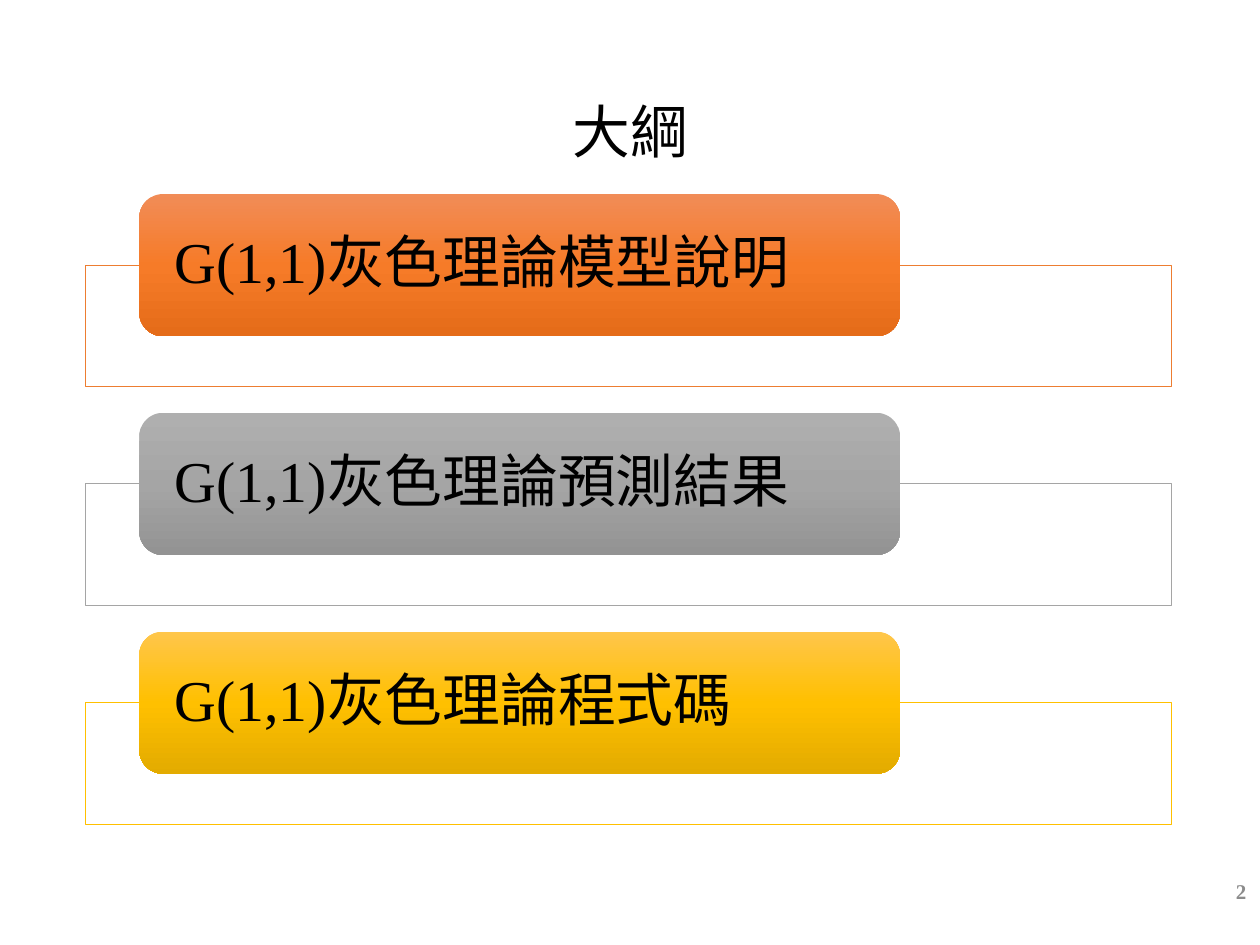
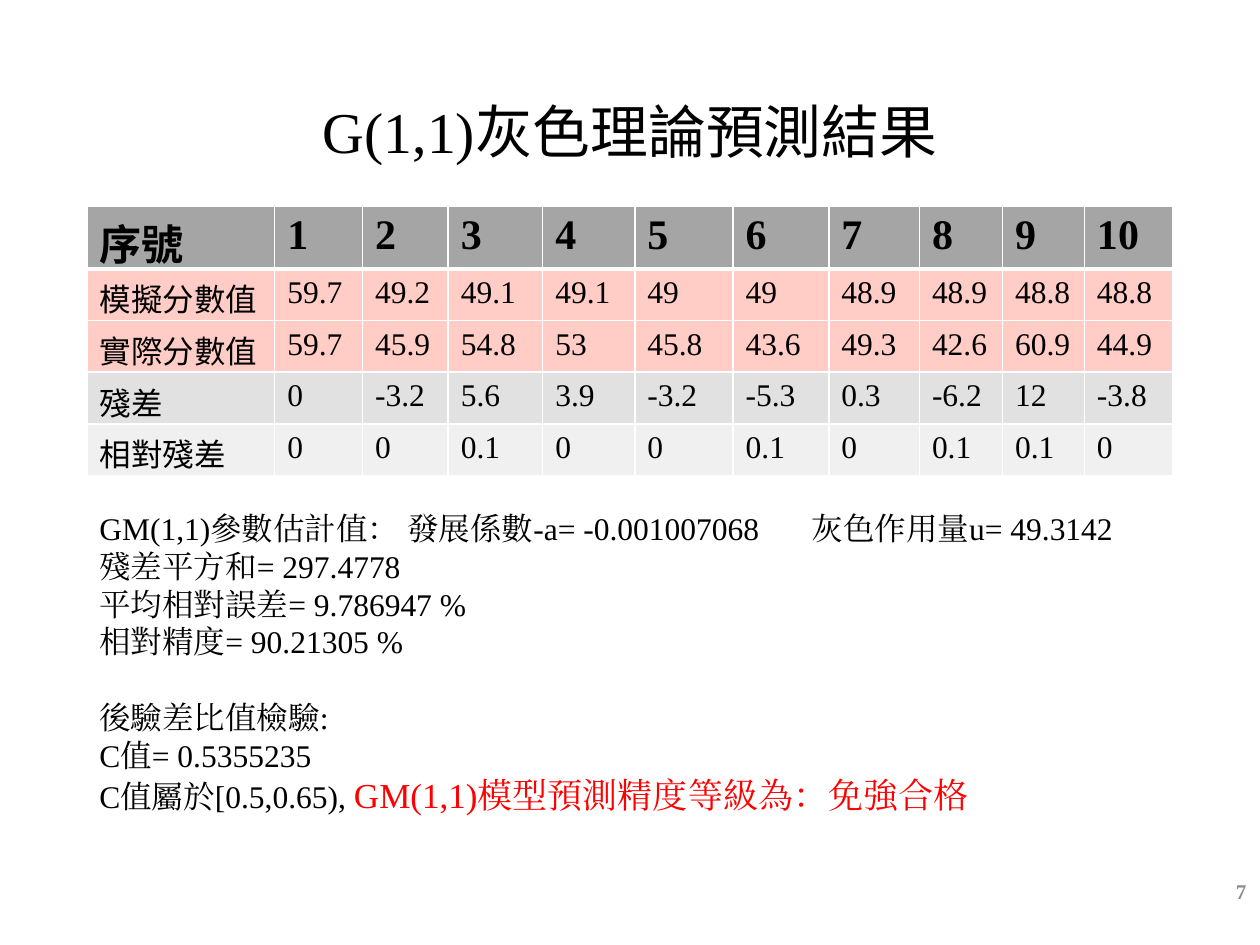
from copy import deepcopy
from lxml.etree import SubElement as Sub
from pptx import Presentation
from pptx.dml.color import RGBColor as Rgb
from pptx.enum.shapes import MSO_SHAPE as Form
from pptx.enum.text import MSO_ANCHOR as Anchor, PP_ALIGN as Align
from pptx.oxml.ns import qn
from pptx.util import Pt

FACE = "Times New Roman"
BLACK, WHITE, GREY, RED = "000000", "FFFFFF", "8C8C8C", "FF0000"
LEFT, WIDE = 49.7, 620.6

TITLE = dict(size=33, color=BLACK)
NUMBER = dict(size=12, color=GREY, bold=True)
HEAD = dict(size=24, color=BLACK, bold=True)
BODY = dict(size=18, color=BLACK)
GRADE = dict(size=20, color=RED)

# Topic, frame line, gradient from top to bottom
TOPICS = [
    ("G(1,1)灰色理論模型說明", "ED7D31", ("F18C57", "F67B28", "E56C19")),
    ("G(1,1)灰色理論預測結果", "A5A5A5", ("AFAFAF", "A5A5A5", "939393")),
    ("G(1,1)灰色理論程式碼", "FFC000", ("FFC64B", "FFC000", "E3AB00")),
]
STEP = 125

# Row fill, cells
SCORES = [
    ("A5A5A5", ["序號", *range(1, 11)]),
    ("FFCDC6", ["模擬分數值", 59.7, 49.2, 49.1, 49.1, 49, 49, 48.9, 48.9, 48.8, 48.8]),
    ("FFCDC6", ["實際分數值", 59.7, 45.9, 54.8, 53, 45.8, 43.6, 49.3, 42.6, 60.9, 44.9]),
    ("E1E1E1", ["殘差", 0, -3.2, 5.6, 3.9, -3.2, -5.3, 0.3, -6.2, 12, -3.8]),
    ("F0F0F0", ["相對殘差", 0, 0, 0.1, 0, 0, 0.1, 0, 0.1, 0.1, 0]),
]
COLS = [107.3, 50.2, 49, 54, 52.6, 56.2, 54.7, 51.8, 47.5, 46.8, 50.5]
ROWS = [27.4, 29.5, 29.5, 29.5, 29.5]

# Space before, line pitch, runs
NOTES = [
    (0, 21.6, [("GM(1,1)參數估計值： 發展係數-a= -0.001007068\t灰色作用量u= 49.3142", BODY)]),
    (0, 21.6, [("殘差平方和= 297.4778", BODY)]),
    (0, 21.6, [("平均相對誤差= 9.786947 %", BODY)]),
    (0, 21.6, [("相對精度= 90.21305 %", BODY)]),
    (21.6, 21.6, [("後驗差比值檢驗:", BODY)]),
    (0, 21.6, [("C值= 0.5355235", BODY)]),
    (0, 24, [("C值屬於[0.5,0.65), ", BODY),
             ("GM(1,1)模型預測精度等級為：免強合格", GRADE)]),
]
TAB = 407


def tint(code):
    return Rgb.from_string(code)


def put(para, text, look):
    """Add a run with the given look."""
    run = para.add_run()
    run.text = str(text)
    font = run.font
    font.name = FACE
    for key, val in look.items():
        if key == "color":
            font.color.rgb = tint(val)
        else:
            setattr(font, key, Pt(val) if key == "size" else val)
    return run


def text_box(slide, *area):
    frame = slide.shapes.add_textbox(*map(Pt, area)).text_frame
    frame.word_wrap = True
    return frame


def start(deck, title, number):
    """Add a slide with its title and number."""
    slide = deck.slides.add_slide(deck.slide_layouts[6])
    for text, look, align, space, area in (
        (title, TITLE, Align.CENTER, 0.9, (LEFT, 46, WIDE, 62)),
        (number, NUMBER, Align.RIGHT, 1.0, (557.3, 494.6, 162, 28.8)),
    ):
        frame = text_box(slide, *area)
        frame.vertical_anchor = Anchor.MIDDLE
        para = frame.paragraphs[0]
        para.alignment, para.line_spacing = align, space
        put(para, text, look)
    return slide


def block(slide, form, *area):
    shape = slide.shapes.add_shape(form, *map(Pt, area))
    shape.shadow.inherit = False
    return shape


def shade(shape, codes):
    """Fill with an even gradient running downwards."""
    fill = shape.fill
    fill.gradient()
    fill.gradient_angle = 270
    stops = shape._element.spPr.find(qn("a:gradFill")).find(qn("a:gsLst"))
    stops.append(deepcopy(stops[0]))
    for i, (stop, code) in enumerate(zip(fill.gradient_stops, codes)):
        stop.position = i / (len(codes) - 1)
        stop.color.rgb = tint(code)


def add_topic(slide, i, text, edge, codes):
    box = block(slide, Form.RECTANGLE, 48.6, 151.5 + i * STEP, WIDE, 69.4)
    box.fill.solid()
    box.fill.fore_color.rgb = tint(WHITE)
    box.line.color.rgb = tint(edge)
    box.line.width = Pt(0.5)

    pill = block(slide, Form.ROUNDED_RECTANGLE, 79.6, 110.9 + i * STEP, 434.7, 81.2)
    shade(pill, codes)
    pill.line.fill.background()
    frame = pill.text_frame
    frame.word_wrap = True
    frame.vertical_anchor = Anchor.MIDDLE
    frame.margin_left = frame.margin_right = Pt(16.3)
    frame.margin_top = frame.margin_bottom = 0
    para = frame.paragraphs[0]
    para.alignment, para.line_spacing = Align.LEFT, 0.9
    put(para, text, TITLE)


def rule(cell, **sides):
    """Draw white borders of the given widths."""
    props = cell._tc.get_or_add_tcPr()
    for side, width in sides.items():
        line = Sub(props, qn(f"a:ln{side}"), w=str(Pt(width)))
        Sub(Sub(line, qn("a:solidFill")), qn("a:srgbClr"), val=WHITE)


def add_scores(slide):
    area = map(Pt, (LEFT, 117.7, WIDE, sum(ROWS)))
    table = slide.shapes.add_table(len(ROWS), len(COLS), *area).table
    for col, width in zip(table.columns, COLS):
        col.width = Pt(width)
    for r, (code, cells) in enumerate(SCORES):
        table.rows[r].height = Pt(ROWS[r])
        for c, text in enumerate(cells):
            cell = table.cell(r, c)
            rule(cell, L=1, R=1, T=3 if r == 1 else 1, B=3 if r == 0 else 1)
            cell.fill.solid()
            cell.fill.fore_color.rgb = tint(code)
            put(cell.text_frame.paragraphs[0], text, BODY if r else HEAD)


def add_notes(slide):
    frame = text_box(slide, LEFT, 287.3, WIDE, 189.4)
    for i, (gap, pitch, runs) in enumerate(NOTES):
        para = frame.add_paragraph() if i else frame.paragraphs[0]
        para.line_spacing = Pt(pitch)
        if gap:
            para.space_before = Pt(gap)
        if "\t" in runs[0][0]:
            tabs = Sub(para._p.get_or_add_pPr(), qn("a:tabLst"))
            Sub(tabs, qn("a:tab"), pos=str(Pt(TAB)), algn="l")
        for text, look in runs:
            run = put(para, text, look)
            Sub(run._r.get_or_add_rPr(), qn("a:ea"), typeface=FACE)


def main():
    deck = Presentation()
    deck.slide_width, deck.slide_height = Pt(720), Pt(540)
    outline = start(deck, "大綱", 2)
    for i, topic in enumerate(TOPICS):
        add_topic(outline, i, *topic)
    result = start(deck, TOPICS[1][0], 7)
    add_scores(result)
    add_notes(result)
    deck.save("out.pptx")


if __name__ == "__main__":
    main()
